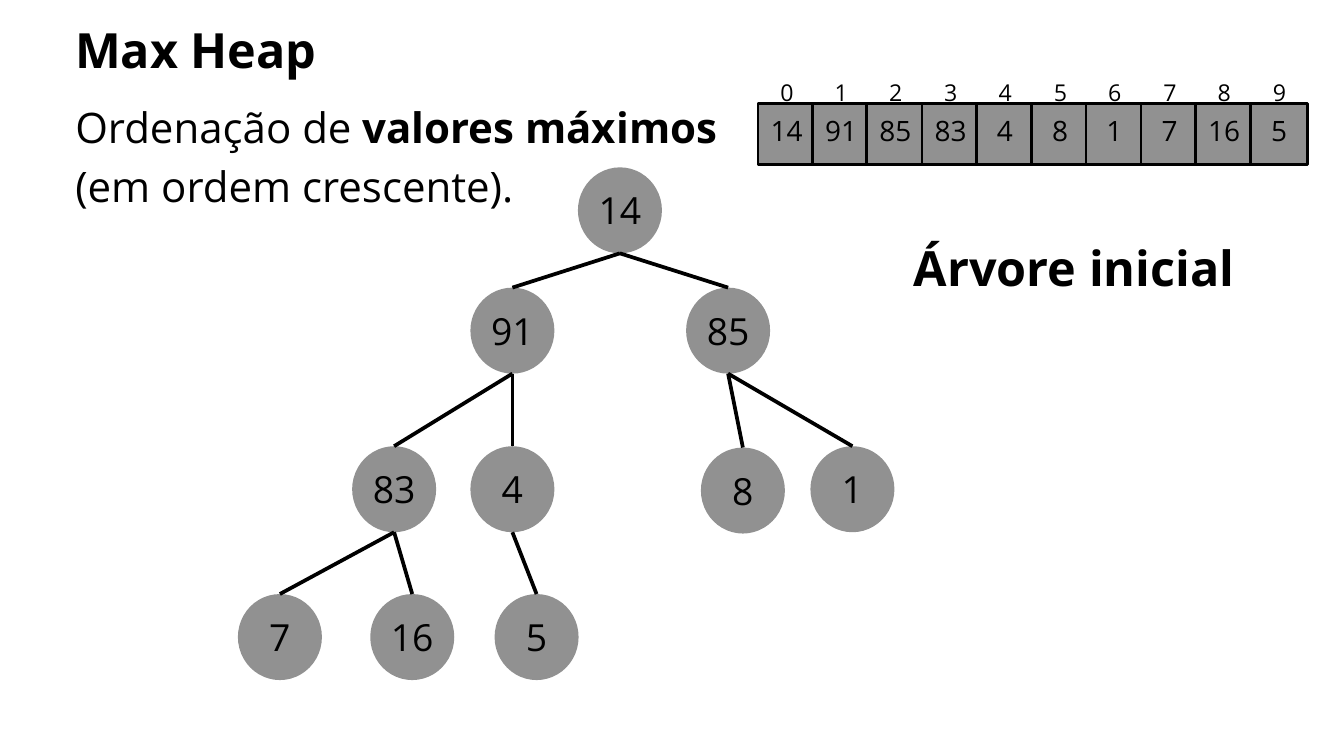
from lxml.etree import SubElement
from pptx import Presentation
from pptx.dml.color import RGBColor
from pptx.enum.shapes import MSO_CONNECTOR, MSO_SHAPE
from pptx.enum.text import MSO_ANCHOR, MSO_AUTO_SIZE, PP_ALIGN
from pptx.oxml.ns import qn
from pptx.util import Pt

PX = 9144  # 100 px to the inch
FONT = "Open Sans"
COLORS = {"ink": "000000", "node": "919191"}
VALUES = [14, 91, 85, 83, 4, 8, 1, 7, 16, 5]
NODE_WIDTH, NODE_HEIGHT = 125, 128
NODE_POSITIONS = [
    (860, 249),
    (700, 428), (1021, 428),
    (524, 664), (700, 664), (1043, 666), (1206, 664),
    (354, 884), (551, 884), (736, 884),
]


def color(name):
    return RGBColor.from_string(COLORS[name])


def write(shape, text, size, spacing, align=PP_ALIGN.CENTER, bold=False,
          anchor=MSO_ANCHOR.TOP, wrap=False, bottom=0):
    """Fill a shape with lines of text; ** switches bold on and off."""
    frame = shape.text_frame
    frame.auto_size = MSO_AUTO_SIZE.NONE
    frame.word_wrap = wrap
    frame.vertical_anchor = anchor
    frame.margin_left = frame.margin_right = frame.margin_top = 0
    frame.margin_bottom = bottom * PX
    for number, line in enumerate(text.split("\n")):
        paragraph = frame.add_paragraph() if number else frame.paragraphs[0]
        paragraph.alignment = align
        paragraph.line_spacing = Pt(spacing)
        paragraph.space_before = Pt(0)
        for part, words in enumerate(line.split("**")):
            if not words:
                continue
            run = paragraph.add_run()
            run.text = words
            run.font.name = FONT
            run.font.size = Pt(size)
            run.font.bold = bold or part % 2 == 1
            run.font.color.rgb = color("ink")


presentation = Presentation()
presentation.slide_width = 2000 * PX
presentation.slide_height = 1125 * PX
slide = presentation.slides.add_slide(presentation.slide_layouts[1])
shapes = slide.shapes

# Title and description
title, body = slide.placeholders
for placeholder, box in ((title, (102, 15, 379, 97)), (body, (112, 139, 958, 172))):
    (placeholder.left, placeholder.top,
     placeholder.width, placeholder.height) = [length * PX for length in box]
write(title, "Max Heap", size=52, spacing=72.8, bold=True, wrap=True)
write(body, "Ordenação de **valores máximos**\n(em ordem crescente).",
      size=45, spacing=63, align=PP_ALIGN.LEFT, wrap=True)
for paragraph in body.text_frame.paragraphs:
    properties = paragraph._p.get_or_add_pPr()
    properties.set("marL", "0")
    properties.set("indent", "0")
    SubElement(properties, qn("a:buNone"))

# Array with its indices
for index, value in enumerate(VALUES):
    left = 1128 + 733 * index // 9
    cell = shapes.add_shape(MSO_SHAPE.RECTANGLE, left * PX, 154 * PX, 85 * PX, 91 * PX)
    cell.shadow.inherit = False
    cell.fill.solid()
    cell.fill.fore_color.rgb = color("node")
    cell.line.color.rgb = color("ink")
    cell.line.width = Pt(3)
    write(cell, str(value), size=30, spacing=42, anchor=MSO_ANCHOR.MIDDLE, bottom=19)
    label = shapes.add_textbox((left + 33) * PX, 109 * PX, 20 * PX, 45 * PX)
    write(label, str(index), size=24.8, spacing=34.7)

# Tree nodes
nodes = []
for value, (left, top) in zip(VALUES, NODE_POSITIONS):
    node = shapes.add_shape(MSO_SHAPE.OVAL, left * PX, top * PX,
                            NODE_WIDTH * PX, NODE_HEIGHT * PX)
    node.shadow.inherit = False
    node.fill.solid()
    node.fill.fore_color.rgb = color("node")
    node.line.fill.background()
    write(node, str(value), size=40, spacing=56, anchor=MSO_ANCHOR.MIDDLE, bottom=12)
    nodes.append(node)

# Edges: the parent of node i is node (i - 1) // 2
for index, child in enumerate(nodes[1:], start=1):
    parent = nodes[(index - 1) // 2]
    edge = shapes.add_connector(
        MSO_CONNECTOR.STRAIGHT,
        child.left + child.width // 2, child.top,
        parent.left + parent.width // 2, parent.top + parent.height)
    edge.begin_connect(child, 0)
    edge.line.color.rgb = color("ink")
    edge.line.width = Pt(4)
    SubElement(edge._element.spPr, qn("a:effectLst"))

caption = shapes.add_textbox(1359 * PX, 339 * PX, 479 * PX, 97 * PX)
write(caption, "Árvore inicial", size=52, spacing=72.8, bold=True)

presentation.save("out.pptx")
